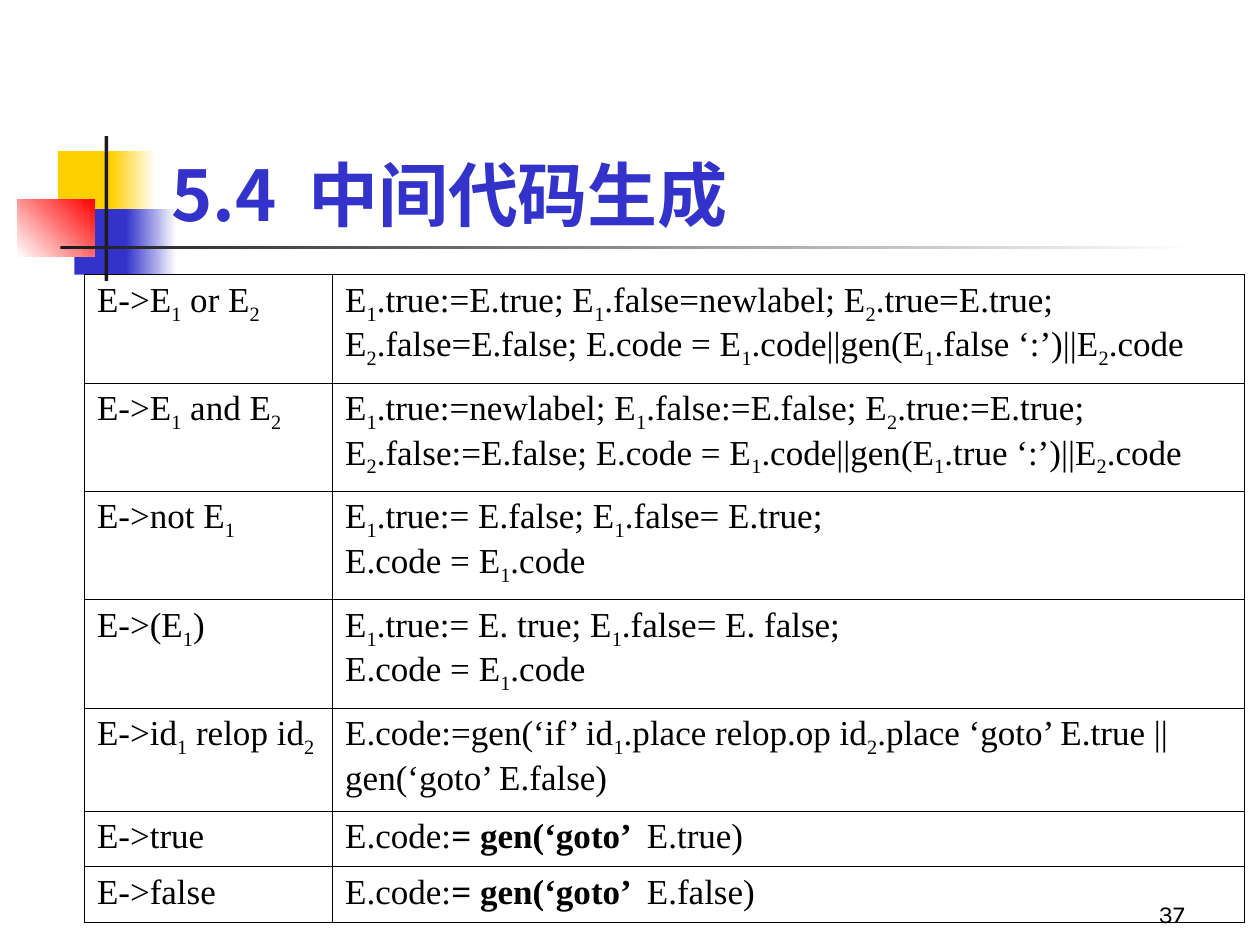
from lxml import etree
from pptx import Presentation
from pptx.dml.color import RGBColor
from pptx.enum.shapes import MSO_SHAPE
from pptx.enum.text import MSO_ANCHOR, PP_ALIGN
from pptx.oxml.ns import qn
from pptx.util import Inches, Pt

RECT = MSO_SHAPE.RECTANGLE
BOTTOM = MSO_ANCHOR.BOTTOM
LEFT, RIGHT = PP_ALIGN.LEFT, PP_ALIGN.RIGHT

COLORS = {"white": "FFFFFF", "gold": "FFCF01", "blue": "3333CC",
          "red": "FF0000", "dark": "1C1C1C", "black": "000000"}
TITLE = {"name": "Noto Sans CJK SC", "size": Pt(40), "bold": True}
NUMBER = {"name": "Karla", "size": Pt(14)}
BODY = {"name": "Times New Roman", "size": Pt(20)}

# Left, top, width, height, colours (two make a gradient), angle
DECOR = [
    (0.46, 1.2, 0.48, 0.52, ["gold"], 0),
    (0.88, 1.2, 0.36, 0.52, ["gold", "white"], 0),
    (0.59, 1.66, 0.46, 0.52, ["blue"], 0),
    (1, 1.66, 0.4, 0.52, ["blue", "white"], 0),
    (0.14, 1.58, 0.61, 0.46, ["white", "red"], 45),
    (0.83, 1.08, 0.03, 1.15, ["dark"], 0),
    (0.48, 1.95, 9, 0.03, ["dark", "white"], 0),
]

# "_" lowers the next character, "*" switches bold, "\n" starts a paragraph
RULES = [
    ("E->E_1 or E_2",
     "E_1.true:=E.true; E_1.false=newlabel; E_2.true=E.true;\n"
     "E_2.false=E.false; E.code = E_1.code||gen(E_1.false ‘:’)||E_2.code"),
    ("E->E_1 and E_2",
     "E_1.true:=newlabel; E_1.false:=E.false; E_2.true:=E.true;\n"
     "E_2.false:=E.false; E.code = E_1.code||gen(E_1.true ‘:’)||E_2.code"),
    ("E->not E_1",
     "E_1.true:= E.false; E_1.false= E.true;\nE.code = E_1.code"),
    ("E->(E_1)",
     "E_1.true:= E. true; E_1.false= E. false;\nE.code = E_1.code"),
    ("E->id_1 relop id_2",
     "E.code:=gen(‘if’ id_1.place relop.op id_2.place ‘goto’ E.true || "
     "gen(‘goto’ E.false)"),
    ("E->true", "E.code:*= gen(‘goto’ * E.true)"),
    ("E->false", "E.code:*= gen(‘goto’ * E.false)"),
]
COLS = [1.97, 7.24]
ROWS = [0.86] * 4 + [0.82] + [0.44] * 2


def rgb(name):
    return RGBColor.from_string(COLORS[name])


class Deck:
    def __init__(self, slide):
        self.slide = slide

    def rect(self, x, y, w, h, tones, angle):
        shape = self.slide.shapes.add_shape(
            RECT, Inches(x), Inches(y), Inches(w), Inches(h))
        shape.shadow.inherit = False
        shape.line.fill.background()
        fill = shape.fill
        if len(tones) == 1:
            fill.solid()
            fill.fore_color.rgb = rgb(tones[0])
            return
        fill.gradient()
        fill.gradient_angle = angle
        for stop, tone in zip(fill.gradient_stops, tones):
            stop.color.rgb = rgb(tone)

    def run(self, para, text, style, color="black", base=None):
        run = para.add_run()
        run.text = text
        for key, value in style.items():
            setattr(run.font, key, value)
        run.font.color.rgb = rgb(color)
        props = run.font._element
        etree.SubElement(props, qn("a:ea")).set("typeface", style["name"])
        if base:
            props.set("baseline", str(base * 1000))

    def text(self, x, y, w, h, text, style, color, align):
        box = self.slide.shapes.add_textbox(
            Inches(x), Inches(y), Inches(w), Inches(h))
        frame = box.text_frame
        frame.word_wrap = True
        frame.vertical_anchor = BOTTOM
        para = frame.paragraphs[0]
        para.alignment = align
        self.run(para, text, style, color)

    def markup(self, frame, text):
        for i, line in enumerate(text.split("\n")):
            para = frame.add_paragraph() if i else frame.paragraphs[0]
            for j, part in enumerate(line.split("*")):
                style = {**BODY, "bold": j % 2 == 1}
                first, *rest = part.split("_")
                if first:
                    self.run(para, first, style)
                for piece in rest:
                    self.run(para, piece[0], style, base=-25)
                    if piece[1:]:
                        self.run(para, piece[1:], style)

    def border(self, cell):
        props = cell._tc.get_or_add_tcPr()
        for i, side in enumerate(("lnL", "lnR", "lnT", "lnB")):
            line = etree.Element(qn("a:" + side), w=str(Pt(0.45)))
            fill = etree.SubElement(line, qn("a:solidFill"))
            etree.SubElement(fill, qn("a:srgbClr"), val=COLORS["black"])
            props.insert(i, line)

    def table(self, x, y, cols, rows, data):
        table = self.slide.shapes.add_table(
            len(rows), len(cols), Inches(x), Inches(y),
            Inches(sum(cols)), Inches(sum(rows))).table
        table.first_row = table.horz_banding = False
        for col, width in zip(table.columns, cols):
            col.width = Inches(width)
        for row, height, texts in zip(table.rows, rows, data):
            row.height = Inches(height)
            for cell, text in zip(row.cells, texts):
                cell.fill.background()
                self.border(cell)
                self.markup(cell.text_frame, text)


def main():
    prs = Presentation()
    prs.slide_width, prs.slide_height = Inches(10), Inches(7.5)
    deck = Deck(prs.slides.add_slide(prs.slide_layouts[6]))

    # Corner blocks and rules
    for item in DECOR:
        deck.rect(*item)

    # Page number and title
    deck.text(7.42, 6.92, 2.08, 0.5, "37", NUMBER, "black", RIGHT)
    deck.text(1.26, 0.67, 8.52, 1.25, "5.4  中间代码生成", TITLE, "blue", LEFT)

    # Translation rules
    deck.table(0.67, 2.18, COLS, ROWS, RULES)
    prs.save("out.pptx")


if __name__ == "__main__":
    main()
